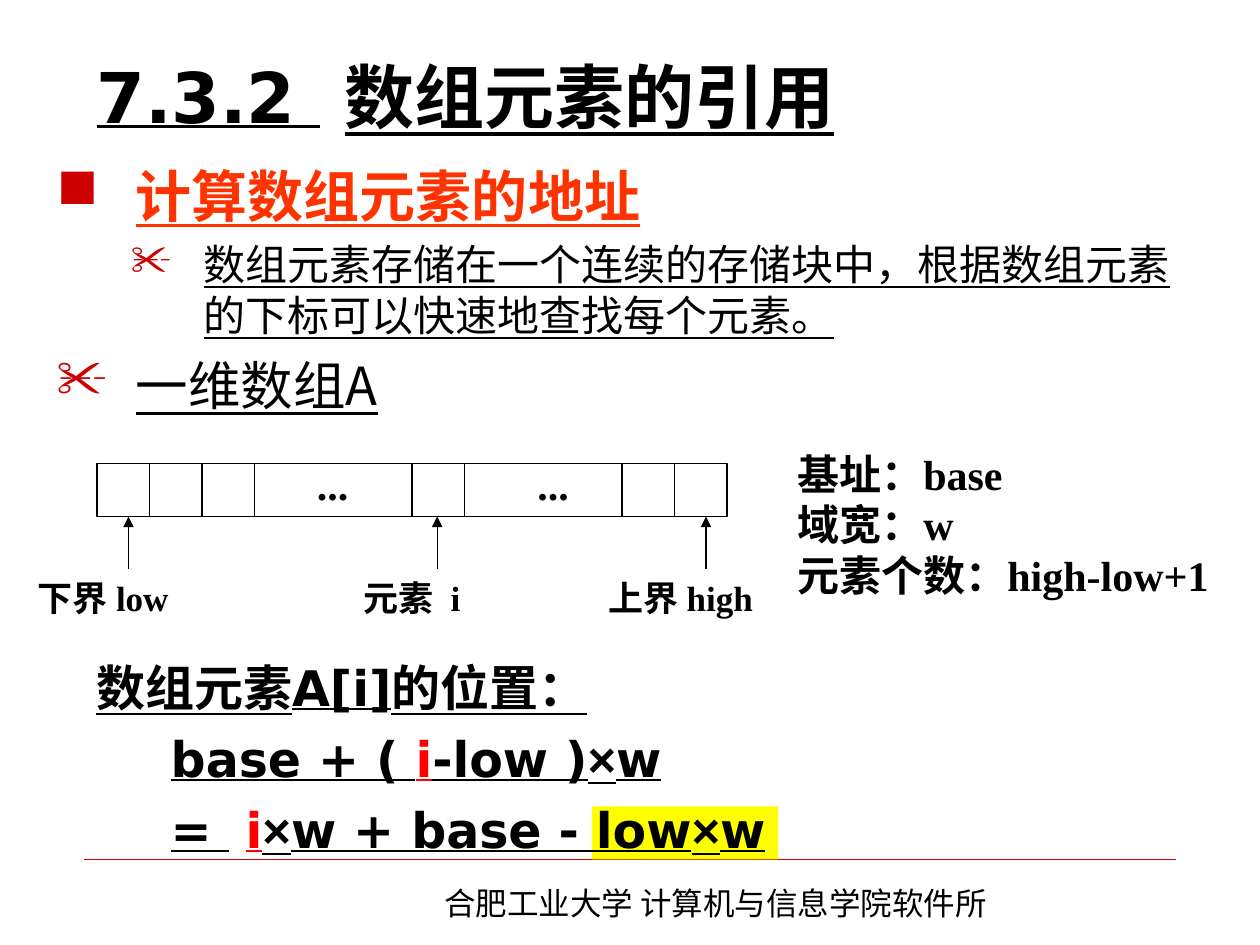
import pptx
import pptx.util
import pptx.dml.color
import pptx.enum.shapes
import pptx.enum.text
from lxml import etree
from pptx.oxml.ns import qn

W, H = 10, 7.5
CJK, SANS, SERIF = "Noto Sans CJK SC", "DejaVu Sans", "Times New Roman"
BLACK, RED, ACCENT = "000000", "FF0000", "CC0000"
ALIGN = pptx.enum.text.PP_ALIGN
MIDDLE = pptx.enum.text.MSO_ANCHOR.MIDDLE
inch = pptx.util.Inches


def color(value):
    return pptx.dml.color.RGBColor.from_string(value)


def add_run(p, text, size, font=CJK, fill=BLACK, bold=False, underline=False, spacing=0):
    r = p.add_run()
    r.text = text
    f = r.font
    f.size, f.name, f.bold, f.underline = pptx.util.Pt(size), font, bold, underline
    f.color.rgb = color(fill)
    rpr = r.font._element
    etree.SubElement(rpr, qn("a:ea")).set("typeface", CJK)
    if spacing:
        rpr.set("spc", str(round(spacing * 100)))


def set_paragraph(p, margin=0, indent=0, before=0, bullet=None):
    ppr = p._p.get_or_add_pPr()
    ppr.set("marL", str(inch(margin)))
    ppr.set("indent", str(inch(indent)))
    p.space_before = pptx.util.Pt(before)
    if bullet:
        clr = etree.SubElement(ppr, qn("a:buClr"))
        etree.SubElement(clr, qn("a:srgbClr")).set("val", ACCENT)
        etree.SubElement(ppr, qn("a:buChar")).set("char", bullet)
    else:
        etree.SubElement(ppr, qn("a:buNone"))


def add_text(s, box, wrap=True, anchor=None):
    tf = s.shapes.add_textbox(*map(inch, box)).text_frame
    tf.word_wrap = wrap
    if anchor is not None:
        tf.vertical_anchor = anchor
    return tf


def add_label(s, box, text, size, spacing=0):
    """Centred bold label; spacing widens the gap between its words."""
    p = add_text(s, box, False, MIDDLE).paragraphs[0]
    p.alignment = ALIGN.CENTER
    head, gap, tail = text.partition(" ")
    for part in filter(None, (head, gap, tail)):
        add_run(p, part, size, SERIF, bold=True, spacing=spacing if part == gap else 0)


def add_rect(s, box, fill, line=None):
    sp = s.shapes.add_shape(pptx.enum.shapes.MSO_SHAPE.RECTANGLE, *map(inch, box))
    sp.shadow.inherit = False
    sp.fill.solid()
    sp.fill.fore_color.rgb = color(fill)
    if line:
        sp.line.color.rgb = color(line)
        sp.line.width = pptx.util.Pt(0.75)
    else:
        sp.line.fill.background()


def add_line(s, x1, y1, x2, y2, fill=BLACK, width=0.75, arrow=False):
    c = s.shapes.add_connector(pptx.enum.shapes.MSO_CONNECTOR.STRAIGHT,
                               *map(inch, (x1, y1, x2, y2)))
    c.line.color.rgb = color(fill)
    c.line.width = pptx.util.Pt(width)
    if arrow:
        etree.SubElement(c.line._get_or_add_ln(), qn("a:tailEnd")).set("type", "triangle")
    etree.SubElement(c._element.spPr, qn("a:effectLst"))


def place_title(s, box):
    sp = s.shapes.title
    sp.left, sp.top, sp.width, sp.height = map(inch, box)
    tf = sp.text_frame
    tf.auto_size = pptx.enum.text.MSO_AUTO_SIZE.NONE
    tf.vertical_anchor = MIDDLE
    p = tf.paragraphs[0]
    p.alignment = ALIGN.LEFT
    for text, spacing in (("7.3.2", 0), (" ", 14), ("数组元素的引用", 0)):
        add_run(p, text, 40, SANS, bold=True, underline=True, spacing=spacing)


def place_footer(s, box):
    left, top, width, height = box
    add_line(s, left, top, left + width, top, ACCENT, 0.25)
    tf = add_text(s, (left + 2.76, top + 0.15, 5.04, height))
    add_run(tf.paragraphs[0], "合肥工业大学 计算机与信息学院软件所", 18)


def place_outline(s, box):
    tf = add_text(s, box)
    rows = [
        ("计算数组元素的地址", 32, "FF3300", True, 0.63, -0.63, 0, "■"),
        ("数组元素存储在一个连续的存储块中，根据数组元素的下标可以快速地查找每个元素。",
         24, BLACK, False, 1.17, -0.58, 6, "✂"),
        ("一维数组A", 30, BLACK, False, 0.63, -0.63, 7.5, "✂"),
    ]
    for i, (text, size, fill, bold, margin, indent, before, bullet) in enumerate(rows):
        p = tf.add_paragraph() if i else tf.paragraphs[0]
        set_paragraph(p, margin, indent, before, bullet)
        add_run(p, text, size, CJK, fill, bold, True)


def place_array(s, box):
    left, top, width, height = box
    unit, bottom = width / 12, top + height
    add_rect(s, box, "FFFFFF", BLACK)
    # Cell borders, in twelfths of the array
    for col in (1, 2, 3, 6, 7, 10, 11):
        x = left + col * unit
        add_line(s, x, top, x, bottom)
    # Skipped cells
    for col in (4.5, 8.7):
        add_label(s, (left + col * unit - 0.23, top - 0.09, 0.45, 0.5), "...", 24)
    # Index pointers with their labels
    for col, text, wide, spacing in ((0.6, "下界 low", 1.3, 0), (6.48, "元素 i", 1.02, 5),
                                     (11.6, "上界 high", 1.41, 0)):
        x = left + col * unit
        add_line(s, x, bottom + height, x, bottom, arrow=True)
        add_label(s, (x - 0.2 - wide / 2, bottom + height, wide, 0.44), text, 20, spacing)


def place_facts(s, box):
    tf = add_text(s, box, False, MIDDLE)
    for i, text in enumerate(("基址：base", "域宽：w", "元素个数：high-low+1")):
        p = tf.add_paragraph() if i else tf.paragraphs[0]
        add_run(p, text, 24, SERIF, bold=True)


def place_formula(s, box):
    left, top, width, height = box
    # Highlight behind the constant term
    add_rect(s, (left + 4.03, top + 1.23, 1.48, 0.42), "FFFF00")
    tf = add_text(s, box)
    rows = [["数组元素A[i]的位置："],
            ["base + ( ", "i", "-low )", "×", "w"],
            ["=", " ", "i", "×", "w + base - low", "×", "w"]]
    for i, parts in enumerate(rows):
        p = tf.add_paragraph() if i else tf.paragraphs[0]
        if i:
            set_paragraph(p, 0.9, -0.31, 7)
        else:
            set_paragraph(p, 0.38, -0.38)
        for part in parts:
            add_run(p, part, 28, "Arial" if part == "×" else SANS,
                    RED if part == "i" else BLACK, True, True, 9.7 if part == " " else 0)


def main():
    prs = pptx.Presentation()
    prs.slide_width, prs.slide_height = inch(W), inch(H)
    s = prs.slides.add_slide(prs.slide_layouts[5])
    margin = W / 15
    place_title(s, (margin, 0.21, 8.75, 1.1))
    place_footer(s, (margin, 6.82, W - 2 * margin, 0.4))
    place_outline(s, (0.35, 1.23, 9.12, 2.08))
    place_array(s, (0.77, 3.68, 5, 0.42))
    place_facts(s, (6.23, 3.51, 3.54, 1.3))
    place_formula(s, (margin, 5.17, 9.12, 1.58))
    prs.save("out.pptx")


if __name__ == "__main__":
    main()
